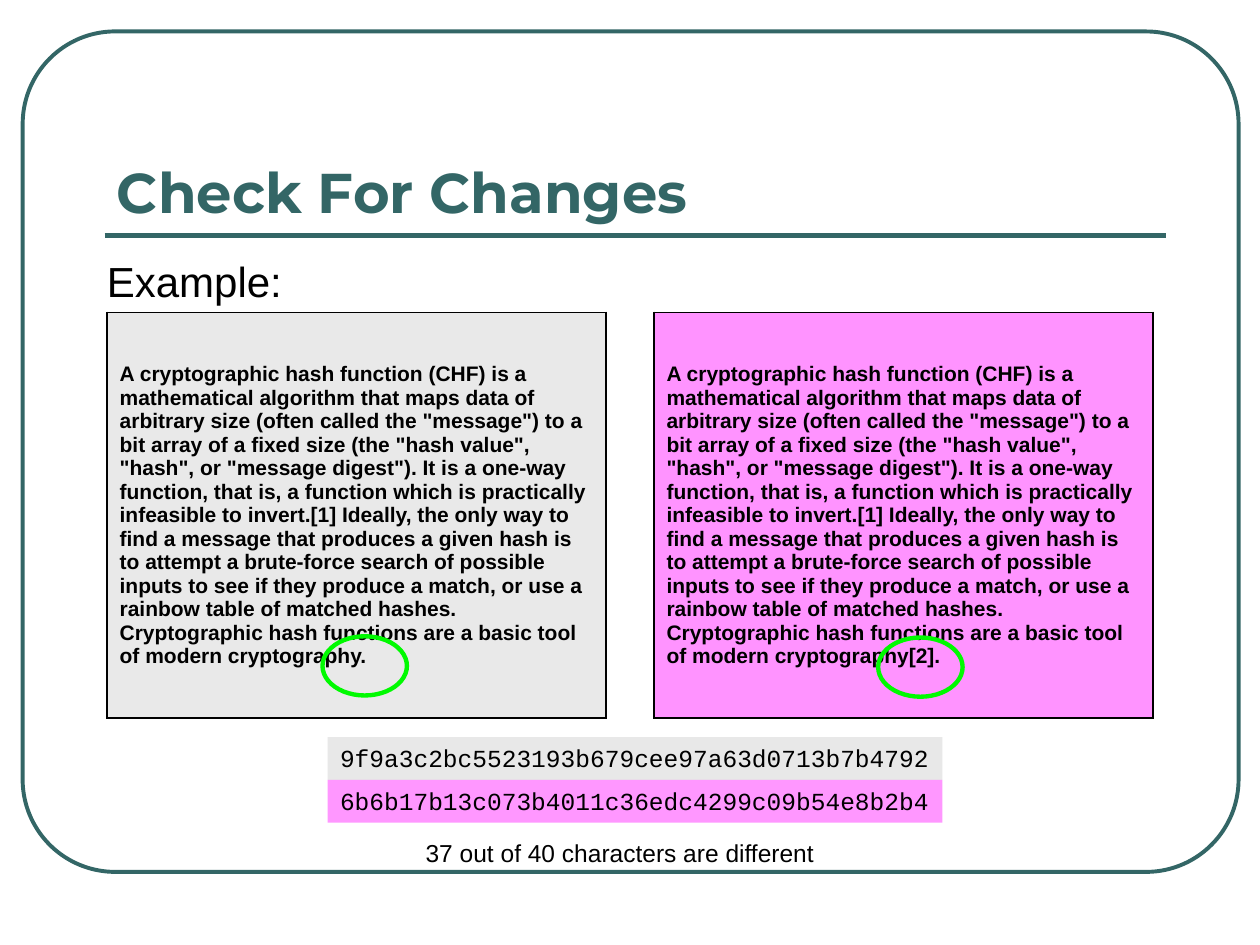
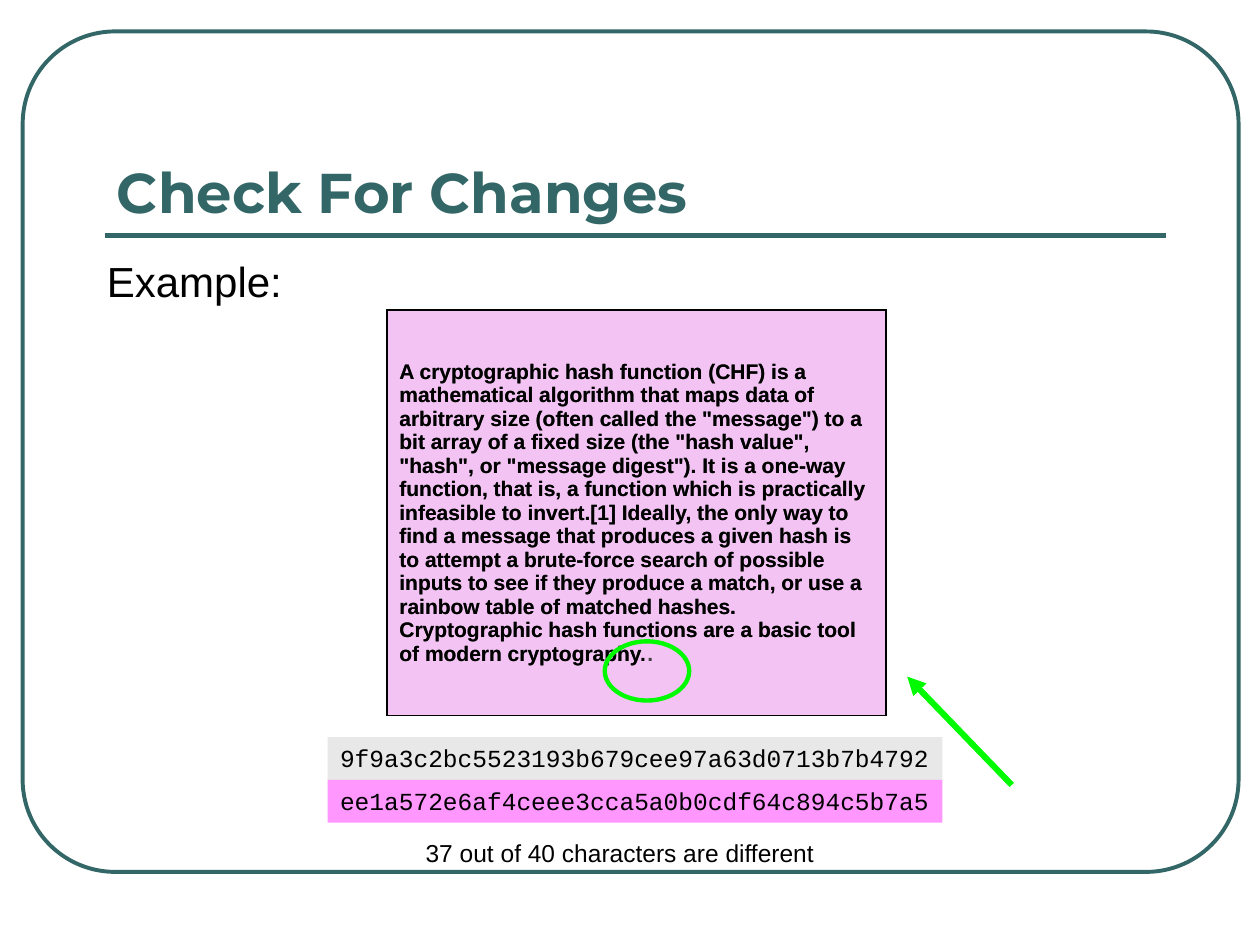
import pptx
import pptx.util
import pptx.dml.color
import pptx.enum.shapes
import pptx.enum.text
import pptx.oxml
import pptx.oxml.ns
import lxml.etree

TEAL = pptx.dml.color.RGBColor(0x33, 0x66, 0x66)
BLACK = pptx.dml.color.RGBColor(0x00, 0x00, 0x00)
GREY = pptx.dml.color.RGBColor(0xD9, 0xD9, 0xD9)
PINK = pptx.dml.color.RGBColor(0xFF, 0x40, 0xFF)
GREEN = pptx.dml.color.RGBColor(0x00, 0xFA, 0x00)

TOP = pptx.enum.text.MSO_ANCHOR.TOP
MIDDLE = pptx.enum.text.MSO_ANCHOR.MIDDLE
BOTTOM = pptx.enum.text.MSO_ANCHOR.BOTTOM
SHAPE = pptx.enum.shapes.MSO_SHAPE
STRAIGHT = pptx.enum.shapes.MSO_CONNECTOR.STRAIGHT
qn = pptx.oxml.ns.qn

prs = pptx.Presentation()
prs.slide_width = pptx.util.Inches(10)
prs.slide_height = pptx.util.Inches(7.5)
COL = prs.slide_width / 100
ROW = prs.slide_height / 75

CARD_W, CARD_H = 39.6, 32.2
BAND_X, BAND_Y, BAND_W, BAND_H = 26, 58.5, 48.8, 3.4
RING_W, RING_H = 6.7, 4.7

MESSAGE = (
    'A cryptographic hash function (CHF) is a mathematical algorithm that maps '
    'data of arbitrary size (often called the "message") to a bit array of a '
    'fixed size (the "hash value", "hash", or "message digest"). It is a one-way '
    'function, that is, a function which is practically infeasible to invert.[1] '
    'Ideally, the only way to find a message that produces a given hash is to '
    'attempt a brute-force search of possible inputs to see if they produce a '
    'match, or use a rainbow table of matched hashes. Cryptographic hash '
    'functions are a basic tool of modern cryptography'
)
FIRST_HASH = "9f9a3c2bc5523193b679cee97a63d0713b7b4792"

SLIDES = [
    {
        "cards": [(8.5, 24.8, ".", GREY, 56), (51.9, 24.8, "[2].", PINK, 56)],
        "hash": "6b6b17b13c073b4011c36edc4299c09b54e8b2b4",
        "rings": [(69.7, 50.6), (25.6, 50.5)],
        "arrows": [],
    },
    {
        "cards": [(30.7, 24.6, " .", PINK, 35), (30.7, 24.6, ".", GREY, 29)],
        "hash": "ee1a572e6af4ceee3cca5a0b0cdf64c894c5b7a5",
        "rings": [(48, 50.9)],
        "arrows": [(80.3, 62.3, 72, 53.7)],
    },
]


def grid(*cells):
    return [round(n * (ROW if i % 2 else COL)) for i, n in enumerate(cells)]


def fill_with(obj, props, color, alpha):
    obj.fill.solid()
    obj.fill.fore_color.rgb = color
    clr = props.find(qn("a:solidFill")).find(qn("a:srgbClr"))
    lxml.etree.SubElement(clr, qn("a:alpha"), val=str(alpha * 1000))


for content in SLIDES:
    s = prs.slides.add_slide(prs.slide_layouts[6])
    for ph in list(s.placeholders):
        ph.element.getparent().remove(ph.element)

    frame = s.shapes.add_shape(SHAPE.ROUNDED_RECTANGLE, *grid(1.8, 2.5, 96.5, 66.7))
    frame.adjustments[0] = 0.11
    outlines = [(frame, TEAL, 2.25)]
    texts = []

    for x, y, ending, color, alpha in content["cards"]:
        card = s.shapes.add_table(1, 1, *grid(x, y, CARD_W, CARD_H)).table
        card.first_row = False
        card.horz_banding = False
        cell = card.cell(0, 0)
        cell.vertical_anchor = MIDDLE
        tcPr = cell._tc.get_or_add_tcPr()
        fill_with(cell, tcPr, color, alpha)
        for i, side in enumerate("LRTB"):
            ln = pptx.oxml.parse_xml(
                f'<a:ln{side} {pptx.oxml.ns.nsdecls("a")} w="12700"><a:solidFill>'
                f'<a:srgbClr val="{BLACK}"/></a:solidFill></a:ln{side}>'
            )
            tcPr.insert(i, ln)
        texts.append((cell.text_frame, MESSAGE + ending, 12, "Arial", BLACK, True))

    for i, (digest, color, alpha) in enumerate(
        [(FIRST_HASH, GREY, 60), (content["hash"], PINK, 54)]
    ):
        sp = s.shapes.add_textbox(*grid(BAND_X, BAND_Y + i * BAND_H, BAND_W, BAND_H))
        fill_with(sp, sp.element.spPr, color, alpha)
        sp.text_frame.word_wrap = True
        texts.append((sp.text_frame, digest, 14, "Courier New", BLACK, False))

    for box, anchor, wrap, text, size, font, color, bold in [
        ((8.3, 5.8, 84.2, 12.5), BOTTOM, True, "Check For Changes", 32, "Montserrat", TEAL, True),
        ((7.5, 19.8, 85, 5), TOP, True, "Example:", 24, "Arial", BLACK, False),
        ((32.8, 66, 33, 3.4), TOP, False, "37 out of 40 characters are different", 14, "Arial", BLACK, False),
    ]:
        tf = s.shapes.add_textbox(*grid(*box)).text_frame
        tf.vertical_anchor = anchor
        tf.word_wrap = wrap
        texts.append((tf, text, size, font, color, bold))

    for tf, text, size, font, color, bold in texts:
        r = tf.paragraphs[0].add_run()
        r.text = text
        r.font.size = pptx.util.Pt(size)
        r.font.name = font
        r.font.color.rgb = color
        r.font.bold = bold

    for x, y in content["rings"]:
        ring = s.shapes.add_shape(SHAPE.OVAL, *grid(x, y, RING_W, RING_H))
        outlines.append((ring, GREEN, 2.5))

    for sp, color, width in outlines:
        sp.shadow.inherit = False
        sp.fill.background()
        sp.line.color.rgb = color
        sp.line.width = pptx.util.Pt(width)

    rule = [((8.3, 18.7, 92.5, 18.7), TEAL, 3, False)]
    arrows = [(ends, GREEN, 3.5, True) for ends in content["arrows"]]
    for ends, color, width, pointed in rule + arrows:
        cxn = s.shapes.add_connector(STRAIGHT, *grid(*ends))
        cxn.line.color.rgb = color
        cxn.line.width = pptx.util.Pt(width)
        spPr = cxn.element.spPr
        if pointed:
            lxml.etree.SubElement(spPr.find(qn("a:ln")), qn("a:tailEnd"), type="triangle")
        lxml.etree.SubElement(spPr, qn("a:effectLst"))

prs.save("out.pptx")
